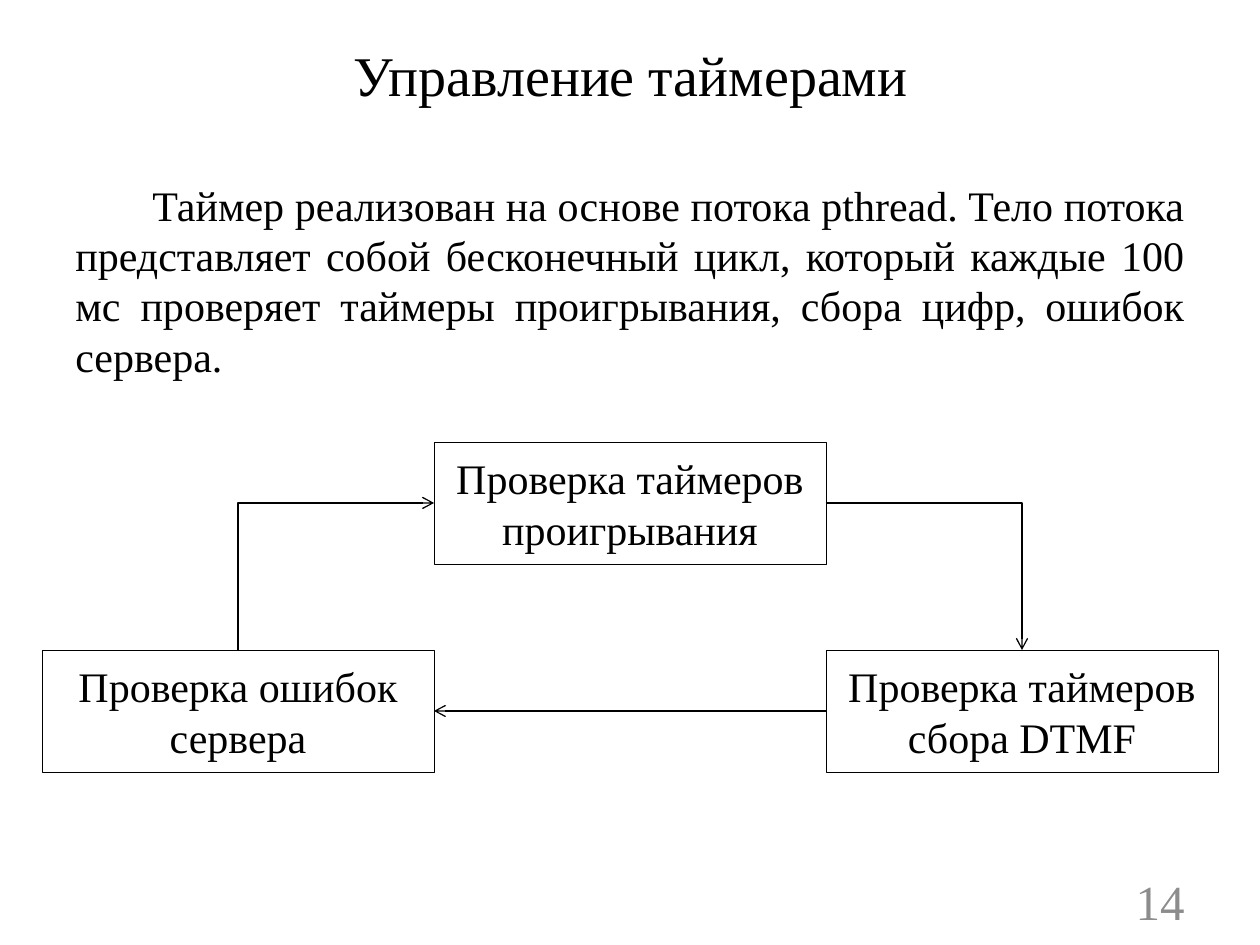
from dataclasses import dataclass

from pptx import Presentation
from pptx.dml.color import RGBColor
from pptx.enum.shapes import MSO_CONNECTOR, MSO_SHAPE
from pptx.enum.text import MSO_ANCHOR, PP_ALIGN
from pptx.oxml.ns import qn
from pptx.util import Pt
from lxml.etree import SubElement

EMU_PER_PX = 914400 / 126
TOP, LEFT, RIGHT = 0, 1, 3


@dataclass(frozen=True)
class Theme:
    """Colours, font and type sizes of the slide."""
    font: str = "Times New Roman"
    ink: RGBColor = RGBColor(0, 0, 0)
    paper: RGBColor = RGBColor(255, 255, 255)
    muted: RGBColor = RGBColor(0x8C, 0x8C, 0x8C)
    title: int = 32
    body: int = 24
    number: int = 28
    border: float = 0.25
    arrow: float = 0.75


THEME = Theme()


def px(length):
    """Turn a length in px into EMU."""
    return round(length * EMU_PER_PX)


def write(shape, text, size=THEME.body, color=THEME.ink, align=PP_ALIGN.CENTER,
          anchor=MSO_ANCHOR.MIDDLE, indent=0, before=0):
    """Put one formatted paragraph into a shape."""
    frame = shape.text_frame
    frame.word_wrap = True
    frame.vertical_anchor = anchor
    para = frame.paragraphs[0]
    para.alignment = align
    para.space_before = Pt(before)
    para._p.get_or_add_pPr().set("indent", str(px(indent)))
    span = para.add_run()
    span.text = text
    span.font.name = THEME.font
    span.font.size = Pt(size)
    span.font.color.rgb = color


def add_text(page, box, text, **style):
    """Add a text box at the given left, top, width and height."""
    write(page.shapes.add_textbox(*map(px, box)), text, **style)


def add_step(page, box, text):
    """Add one outlined step of the cycle."""
    step = page.shapes.add_shape(MSO_SHAPE.RECTANGLE, *map(px, box))
    step.shadow.inherit = False
    step.fill.solid()
    step.fill.fore_color.rgb = THEME.paper
    step.line.color.rgb = THEME.ink
    step.line.width = Pt(THEME.border)
    write(step, text)
    return step


def add_arrow(page, start, start_site, end, end_site, kind=MSO_CONNECTOR.STRAIGHT):
    """Connect two steps with an open arrowhead at the end."""
    arrow = page.shapes.add_connector(kind, 0, 0, 0, 0)
    arrow.begin_connect(start, start_site)
    arrow.end_connect(end, end_site)
    arrow.line.color.rgb = THEME.ink
    arrow.line.width = Pt(THEME.arrow)
    SubElement(arrow.line._get_or_add_ln(), qn("a:tailEnd"), type="arrow")
    properties = arrow._element.spPr
    SubElement(properties, qn("a:effectLst"))
    if kind == MSO_CONNECTOR.ELBOW:
        properties.find(qn("a:prstGeom")).set("prst", "bentConnector2")
    return arrow


def turn_upward(arrow):
    """Make a single-bend arrow leave upward and then run right."""
    width, height = arrow.width, arrow.height
    arrow.left += (width - height) // 2
    arrow.top += (height - width) // 2
    arrow.width, arrow.height = height, width
    transform = arrow._element.spPr.find(qn("a:xfrm"))
    for name, value in (("rot", "5400000"), ("flipH", "1"), ("flipV", "1")):
        transform.set(name, value)


def add_cycle(page, box):
    """Draw the three checks as a cycle over three equal columns."""
    left, top, width, height = box
    column, step_height = width // 3, 122
    bottom = top + height - step_height
    errors = add_step(page, (left, bottom, column, step_height),
                      "Проверка ошибок сервера")
    digits = add_step(page, (left + 2 * column, bottom, column, step_height),
                      "Проверка таймеров сбора DTMF")
    playback = add_step(page, (left + column, top, column, step_height),
                        "Проверка таймеров проигрывания")
    turn_upward(add_arrow(page, errors, TOP, playback, LEFT, MSO_CONNECTOR.ELBOW))
    add_arrow(page, playback, RIGHT, digits, TOP, MSO_CONNECTOR.ELBOW)
    add_arrow(page, digits, LEFT, errors, RIGHT)


def main():
    """Build and save the slide."""
    deck = Presentation()
    deck.slide_width, deck.slide_height = px(1260), px(945)
    page = deck.slides.add_slide(deck.slide_layouts[6])
    add_text(page, (178, 26, 906, 97), "Управление таймерами", size=THEME.title)
    add_text(page, (63, 173, 1134, 233),
             "Таймер реализован на основе потока pthread. Тело потока представляет "
             "собой бесконечный цикл, который каждые 100 мс проверяет таймеры "
             "проигрывания, сбора цифр, ошибок сервера.",
             align=PP_ALIGN.JUSTIFY, anchor=MSO_ANCHOR.TOP, indent=77, before=4.8)
    add_text(page, (903, 876, 294, 50), "14", size=THEME.number,
             color=THEME.muted, align=PP_ALIGN.RIGHT)
    add_cycle(page, (42, 442, 1176, 330))
    deck.save("out.pptx")


if __name__ == "__main__":
    main()
